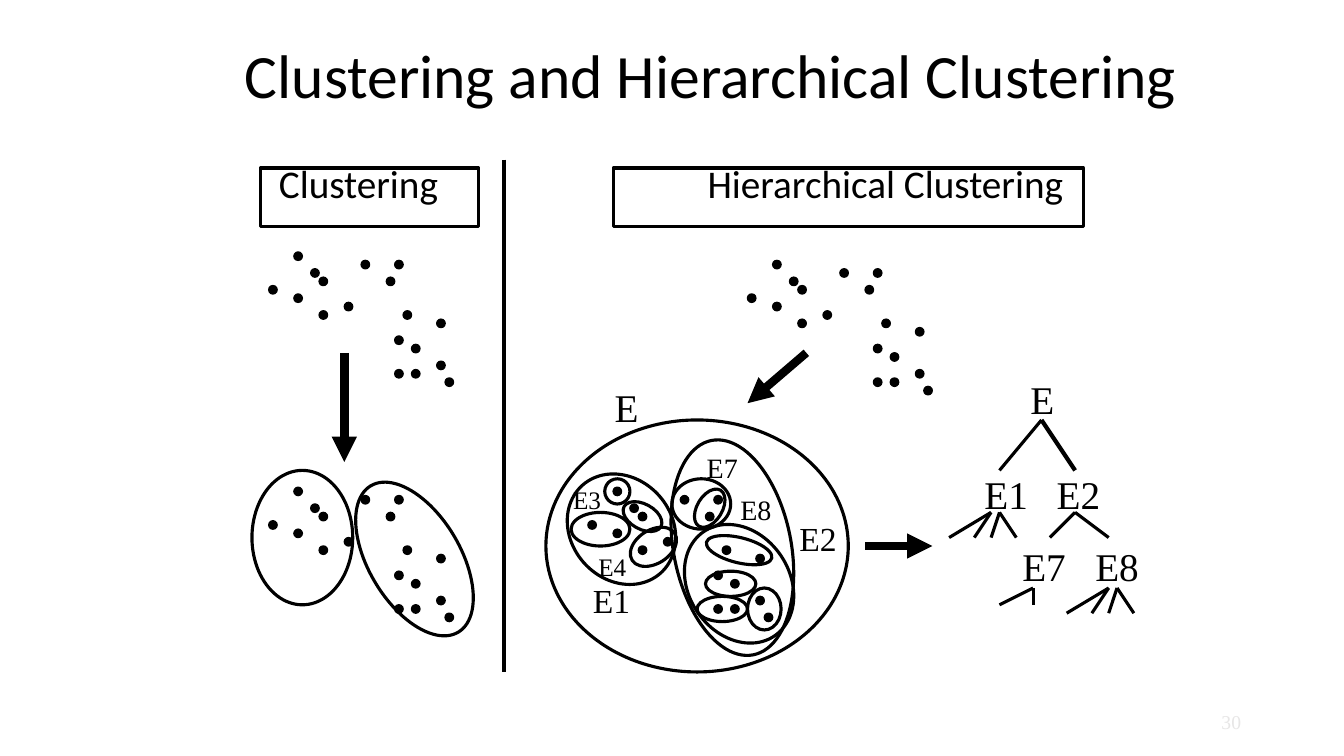
from lxml import etree
from pptx import Presentation
from pptx.dml.color import RGBColor
from pptx.enum.shapes import MSO_CONNECTOR, MSO_SHAPE
from pptx.enum.text import MSO_ANCHOR, MSO_AUTO_SIZE, PP_ALIGN
from pptx.oxml.ns import qn
from pptx.util import Cm, Pt

OVAL, RECTANGLE = MSO_SHAPE.OVAL, MSO_SHAPE.RECTANGLE
STRAIGHT = MSO_CONNECTOR.STRAIGHT
LEFT, CENTER = PP_ALIGN.LEFT, PP_ALIGN.CENTER
TOP, MIDDLE = MSO_ANCHOR.TOP, MSO_ANCHOR.MIDDLE
NO_AUTOFIT = MSO_AUTO_SIZE.NONE

COLORS = {"ink": "000000", "page number": "E7E6E6"}
SANS, SERIF = "Calibri", "Times New Roman"
GRID = 2.54 / 12  # the drawing sits on a grid of 12 steps to the inch


def steps(*values):
    return [Cm(value * GRID) for value in values]


class Diagram:
    def __init__(self, slide):
        self.slide = slide
        self.shapes = slide.shapes

    def start_group(self):
        self.shapes = self.slide.shapes.add_group_shape().shapes

    def end_group(self):
        self.shapes = self.slide.shapes

    def color(self, name):
        return RGBColor.from_string(COLORS[name])

    def add_run(self, paragraph, text, size, font, color="ink"):
        run = paragraph.add_run()
        run.text = text
        run.font.size = Pt(size)
        run.font.name = font
        run.font.color.rgb = self.color(color)

    def placeholder(self, index, box, text, size, anchor, spacing, inset):
        shape = self.slide.placeholders[index]
        shape.left, shape.top, shape.width, shape.height = (Cm(value) for value in box)
        frame = shape.text_frame
        frame.auto_size = NO_AUTOFIT
        frame.vertical_anchor = anchor
        frame.margin_left = Cm(inset)
        paragraph = frame.paragraphs[0]
        paragraph.alignment = LEFT
        paragraph.line_spacing = spacing
        paragraph.space_before = Pt(0)
        properties = paragraph._p.get_or_add_pPr()
        properties.set("marL", "0")
        properties.set("indent", "0")
        etree.SubElement(properties, qn("a:buNone"))
        self.add_run(paragraph, text, size, SANS)

    def outline(self, kind, left, top, width, height, rotation=0, weight=2.25, filled=False):
        shape = self.shapes.add_shape(kind, *steps(left, top, width, height))
        shape.rotation = rotation
        shape.shadow.inherit = False
        if filled:
            shape.fill.solid()
            shape.fill.fore_color.rgb = self.color("ink")
        else:
            shape.fill.background()
        shape.line.color.rgb = self.color("ink")
        shape.line.width = Pt(weight)

    def points(self, left, top):
        for x, y in POINTS:
            self.outline(OVAL, left + x, top + y, 1, 1, weight=1, filled=True)

    def line(self, start, end, weight=2.25, arrow=False):
        connector = self.shapes.add_connector(STRAIGHT, *steps(*start, *end))
        connector.line.color.rgb = self.color("ink")
        connector.line.width = Pt(weight)
        if arrow:
            etree.SubElement(connector.line._get_or_add_ln(), qn("a:tailEnd"), type="triangle")
        etree.SubElement(connector._element.spPr, qn("a:effectLst"))

    def label(self, text, x, y, size, color="ink"):
        width, height = 2.5 + len(text) * size / 10, 1.2 + size * 0.2
        box = self.shapes.add_textbox(*steps(x - width / 2, y - height / 2, width, height))
        frame = box.text_frame
        frame.word_wrap = False
        frame.vertical_anchor = MIDDLE
        paragraph = frame.paragraphs[0]
        paragraph.alignment = CENTER
        self.add_run(paragraph, text, size, SERIF, color)


# The same 18 data points appear four times
POINTS = [(3, 0), (5, 2), (0, 4), (3, 5), (6, 3), (9, 6), (6, 7), (11, 1), (14, 3),
          (15, 1), (16, 7), (15, 10), (21, 15), (15, 14), (17, 14), (17, 11), (20, 13), (20, 8)]

# Left, top, width, height, rotation
FLAT_CLUSTERS = [(30, 56, 12, 16), (43.9, 56.4, 10.9, 20.3, 329.1)]
NESTED_CLUSTERS = [
    (80, 57, 7, 6), (89, 70, 4, 5), (83, 71, 6, 3), (84, 68, 6, 3),
    (84, 64, 8, 3, 13.7), (82, 62, 12, 15, 325.9), (83, 58, 3, 5, 31),
    (74.8, 63.1, 6, 4, 327.6), (74, 60, 5, 3, 28.7), (68, 61, 7, 4),
    (72, 57, 3, 3), (68, 56, 12, 14, 318.5), (80.2, 52.2, 14, 26, 349),
    (65, 50, 36, 30),
]

# Text, centre x, centre y, size
CLUSTER_LABELS = [
    ("E", 74.6, 48.4, 28), ("E1", 72.8, 71.4, 24), ("E2", 97.4, 64, 24),
    ("E3", 69.9, 59.4, 18), ("E4", 72.9, 67.4, 18),
    ("E7", 86, 55.6, 20), ("E8", 90, 60.6, 20),
]
TREE_LABELS = [
    ("E", 124.1, 47.5, 28), ("E1", 119.8, 58.8, 28), ("E2", 128.4, 58.8, 28),
    ("E7", 124.3, 67.4, 28), ("E8", 133, 67.4, 28),
]

# Parent point, then the x of each child and their shared y
TREE_BRANCHES = [
    ((118, 61), (113, 116), 64), ((119, 61), (118, 121), 64),
    ((128, 61), (125, 132), 64), ((123, 70), (119, 123), 72),
    ((132, 70), (127, 130), 73), ((133, 70), (132, 135), 73),
]


def main():
    presentation = Presentation()
    presentation.slide_width, presentation.slide_height = Cm(33.87), Cm(19.05)
    # The layout with a title and two bodies
    slide = presentation.slides.add_slide(presentation.slide_layouts[3])
    diagram = Diagram(slide)

    # Title and the two headings
    diagram.placeholder(0, (5.92, 0.43, 24.51, 3.18), "Clustering and Hierarchical Clustering",
                        44, MIDDLE, 0.85, 0.25)
    diagram.placeholder(1, (6.55, 4.01, 5.5, 1.7), "Clustering", 28, TOP, 0.9, 0.48)
    diagram.placeholder(2, (17.35, 4.01, 10.79, 1.7), "Hierarchical Clustering",
                        28, TOP, 0.9, 0.48)

    # Flat clustering
    diagram.start_group()
    diagram.points(32, 58)
    for cluster in FLAT_CLUSTERS:
        diagram.outline(OVAL, *cluster)
    diagram.points(32, 30)
    diagram.line((41, 42), (41, 55), 6, arrow=True)

    # Hierarchical clustering
    diagram.start_group()
    diagram.points(89, 31)
    diagram.points(70, 58)
    for cluster in NESTED_CLUSTERS:
        diagram.outline(OVAL, *cluster)
    diagram.line((96, 42), (89, 48), 6, arrow=True)
    diagram.line((103, 65), (111, 65), 6, arrow=True)

    # Cluster names and tree
    for label in CLUSTER_LABELS + TREE_LABELS:
        diagram.label(*label)
    diagram.line((124, 50), (119, 56))
    diagram.line((124, 50), (128, 56), 3)
    for parent, children, y in TREE_BRANCHES:
        for x in children:
            diagram.line(parent, (x, y))
    diagram.end_group()

    # Divider, heading frames and page number
    diagram.line((60, 19), (60, 80))
    diagram.outline(RECTANGLE, 31, 20, 26, 7)
    diagram.outline(RECTANGLE, 73, 20, 56, 7)
    diagram.label("30", 146.6, 85.9, 14, "page number")

    presentation.save("out.pptx")


if __name__ == "__main__":
    main()
